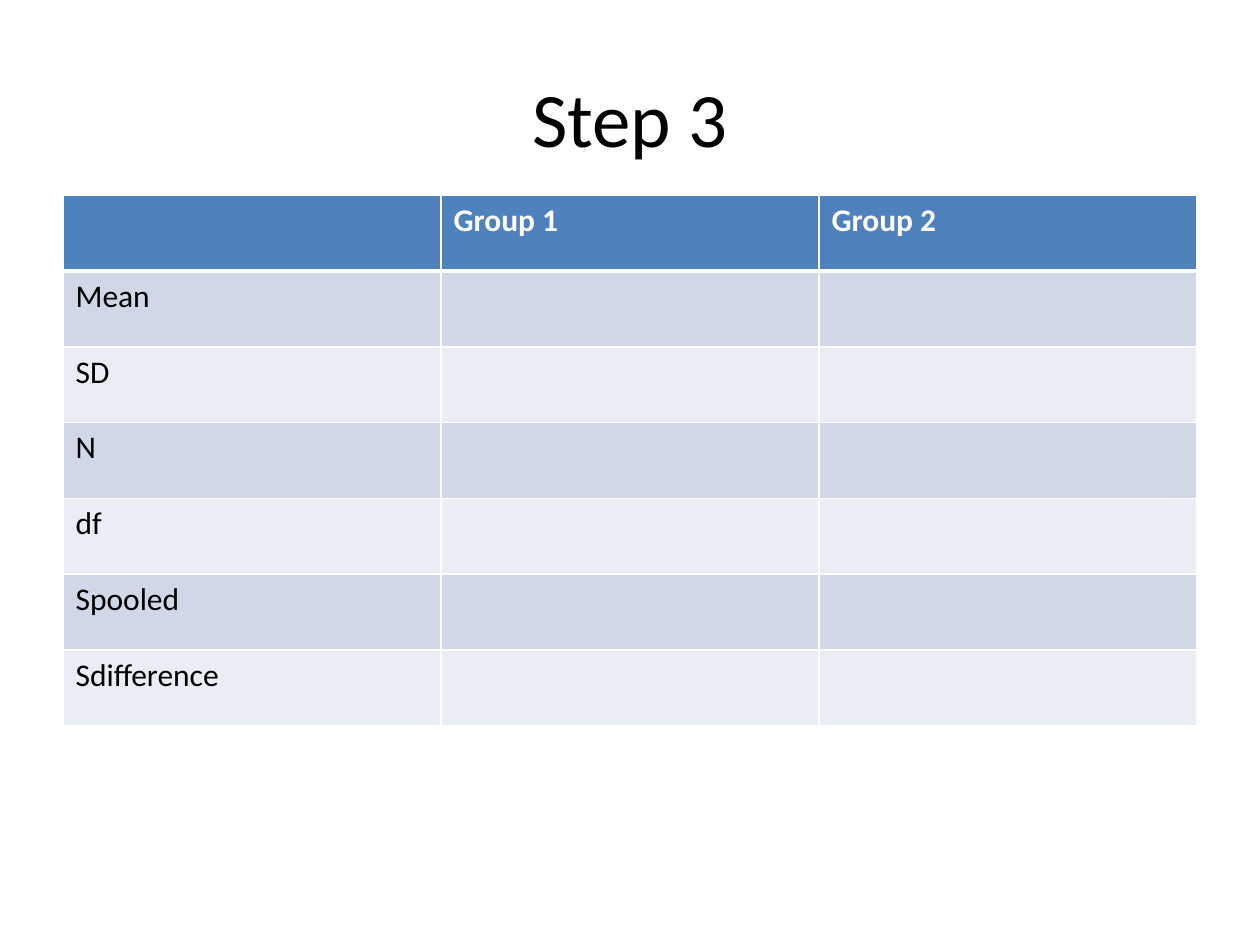
import pptx
import pptx.dml.color
import pptx.enum.text
import pptx.oxml
import pptx.oxml.ns
import pptx.util

Inches = pptx.util.Inches
Pt = pptx.util.Pt
RGBColor = pptx.dml.color.RGBColor

THEME = {
    "font": "Calibri",
    "title_size": Pt(44),
    "cell_size": Pt(18),
    "text": RGBColor.from_string("000000"),
    "header_text": RGBColor.from_string("FFFFFF"),
    "header": RGBColor.from_string("4F81BD"),
    "bands": [RGBColor.from_string("D0D8E8"), RGBColor.from_string("E9EDF4")],
    "border": "FFFFFF",
}
ROWS = [
    ["", "Group 1", "Group 2"],
    ["Mean", "", ""],
    ["SD", "", ""],
    ["N", "", ""],
    ["df", "", ""],
    ["Spooled", "", ""],
    ["Sdifference", "", ""],
]


def format_font(font, size, color, bold):
    values = {"name": THEME["font"], "size": size, "bold": bold}
    for name, value in values.items():
        setattr(font, name, value)
    font.color.rgb = color


def set_borders(cell, widths):
    properties = cell._tc.get_or_add_tcPr()
    for index, (side, width) in enumerate(widths.items()):
        line = pptx.oxml.parse_xml(
            f'<a:ln{side} {pptx.oxml.ns.nsdecls("a")} w="{Pt(width)}">'
            f'<a:solidFill><a:srgbClr val="{THEME["border"]}"/></a:solidFill>'
            f'</a:ln{side}>'
        )
        properties.insert(index, line)


deck = pptx.Presentation()
deck.slide_width = Inches(10)
deck.slide_height = Inches(7.5)
page = deck.slides.add_slide(deck.slide_layouts[5])

title = page.shapes.title
place = {
    "left": Inches(0.5),
    "top": Inches(0.3),
    "width": Inches(9),
    "height": Inches(1.25),
}
for name, value in place.items():
    setattr(title, name, value)
title.text_frame.vertical_anchor = pptx.enum.text.MSO_ANCHOR.MIDDLE
para = title.text_frame.paragraphs[0]
para.alignment = pptx.enum.text.PP_ALIGN.CENTER
span = para.add_run()
span.text = "Step 3"
format_font(span.font, THEME["title_size"], THEME["text"], False)

frame = page.shapes.add_table(
    len(ROWS), len(ROWS[0]), Inches(0.5), Inches(1.55), Inches(9), Inches(4.21)
)
table = frame.table
for row_index, labels in enumerate(ROWS):
    is_header = row_index == 0
    fill = THEME["header"] if is_header else THEME["bands"][(row_index - 1) % 2]
    color = THEME["header_text"] if is_header else THEME["text"]
    widths = {
        "L": 1,
        "R": 1,
        "T": 3 if row_index == 1 else 1,
        "B": 3 if is_header else 1,
    }
    for column_index, label in enumerate(labels):
        cell = table.cell(row_index, column_index)
        set_borders(cell, widths)
        cell.fill.solid()
        cell.fill.fore_color.rgb = fill
        para = cell.text_frame.paragraphs[0]
        if label:
            span = para.add_run()
            span.text = label
            format_font(span.font, THEME["cell_size"], color, is_header)

deck.save("out.pptx")
